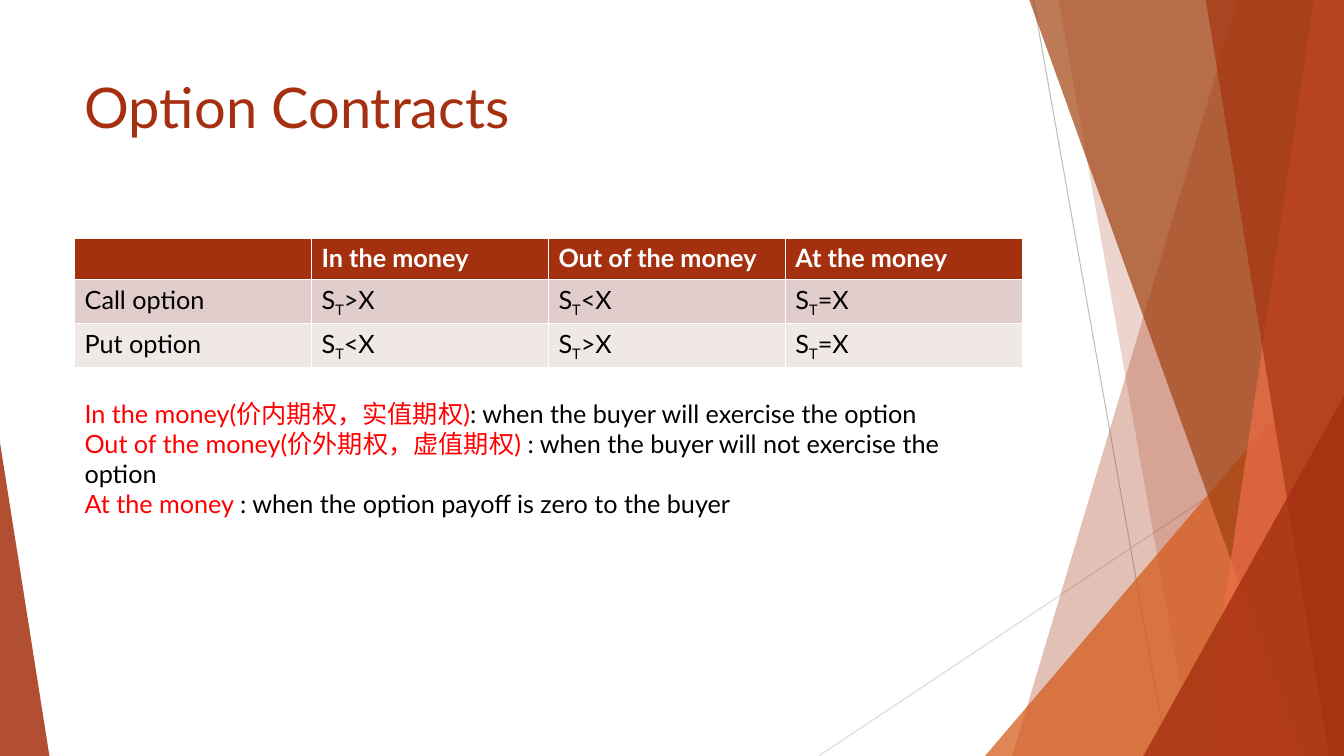
import dataclasses

import pptx
import pptx.dml.color
import pptx.enum.shapes
import pptx.enum.text
import pptx.oxml
import pptx.oxml.ns
import pptx.util


@dataclasses.dataclass(frozen=True)
class Theme:
    font: str = "Lato"
    head: int = 40
    body: int = 18
    rust: str = "A5300F"
    orange: str = "D55816"
    brown: str = "A04210"
    coral: str = "EE6E4A"
    gray: str = "BFBFBF"
    pale: str = "D9D9D9"
    red: str = "FF0000"
    black: str = "000000"
    white: str = "FFFFFF"
    bands: tuple = ("E1CDCC", "F0E8E7")


THEME = Theme()
WIDE = pptx.util.Inches(13.33)
HIGH = pptx.util.Inches(7.5)
LEFT, SPAN = 5.55, 70.52
ROW = 5.47
SHAPE = pptx.enum.shapes.MSO_SHAPE
ANCHOR = pptx.enum.text.MSO_ANCHOR
FIT = pptx.enum.text.MSO_AUTO_SIZE


def across(cols):
    return round(WIDE * cols / 100)


def down(rows):
    return round(HIGH * rows / 100)


def place(left, top, width, height):
    return across(left), down(top), across(width), down(height)


def color(code):
    return pptx.dml.color.RGBColor.from_string(code)


def write(frame, lines, size=THEME.body, tint=THEME.black, bold=False,
          fit=FIT.NONE):
    frame.word_wrap = True
    frame.vertical_anchor = ANCHOR.TOP
    frame.auto_size = fit
    for i, line in enumerate(lines):
        para = frame.paragraphs[0] if i == 0 else frame.add_paragraph()
        para.alignment = pptx.enum.text.PP_ALIGN.LEFT
        for text, extra in line:
            run = para.add_run()
            run.text = text
            run.font.name = THEME.font
            run.font.size = pptx.util.Pt(size)
            run.font.bold = bold
            run.font.color.rgb = color(extra.get("tint", tint))
            if "base" in extra:
                run._r.get_or_add_rPr().set("baseline", str(extra["base"] * 1000))


def paint(shape, tint, alpha):
    shape.shadow.inherit = False
    shape.line.fill.background()
    shape.fill.solid()
    shape.fill.fore_color.rgb = color(tint)
    node = shape._element.spPr.find(".//" + pptx.oxml.ns.qn("a:srgbClr"))
    mark = pptx.oxml.parse_xml(
        f'<a:alpha {pptx.oxml.ns.nsdecls("a")} val="{alpha * 1000}"/>')
    node.append(mark)


def rule(slide, start, end, tint):
    line = slide.shapes.add_connector(
        pptx.enum.shapes.MSO_CONNECTOR.STRAIGHT,
        across(start[0]), down(start[1]), across(end[0]), down(end[1]))
    line.line.color.rgb = color(tint)
    line.line.width = pptx.util.Pt(0.75)
    line._element.spPr.append(pptx.oxml.parse_xml(
        f'<a:effectLst {pptx.oxml.ns.nsdecls("a")}/>'))


def facet(slide, top, base, tint, alpha):
    path = slide.shapes.build_freeform(across(top), 0)
    path.add_line_segments([(WIDE, 0), (WIDE, HIGH), (across(base), HIGH)])
    paint(path.convert_to_shape(), tint, alpha)


def wedge(slide, left, right, top, peak, tint, alpha):
    shape = slide.shapes.add_shape(
        SHAPE.ISOSCELES_TRIANGLE, *place(left, top, right - left, 100 - top))
    shape.adjustments[0] = peak
    paint(shape, tint, alpha)


def backdrop(slide):
    rule(slide, (76.89, 0), (86.87, 100), THEME.gray)
    rule(slide, (100, 53.73), (60.92, 100), THEME.pale)
    facet(slide, 92.12, 75.32, THEME.rust, 30)
    facet(slide, 78.77, 88.75, THEME.rust, 20)
    wedge(slide, 73.29, 100, 44.4, 1, THEME.orange, 72)
    facet(slide, 76.59, 96.85, THEME.brown, 70)
    facet(slide, 97.75, 89.42, THEME.coral, 70)
    facet(slide, 89.72, 98.87, THEME.rust, 65)
    wedge(slide, 85.07, 100, 52.4, 1, THEME.rust, 80)
    wedge(slide, 0, 3.68, 58.53, 0, THEME.rust, 85)


def heading(slide, box, text):
    title = slide.shapes.title
    title.left, title.top, title.width, title.height = place(*box)
    write(title.text_frame, [[(text, {})]], size=THEME.head, tint=THEME.rust)


def payoff(sign):
    return [("S", {}), ("T", {"base": -25}), (sign + "X", {})]


def grid(slide, box, heads, rows):
    table = slide.shapes.add_table(
        len(rows) + 1, len(heads), *place(*box)).table
    body = [[[(name, {})], *map(payoff, signs)] for name, signs in rows]
    lines = [[[(head, {})] if head else [] for head in heads], *body]
    fills = [THEME.rust, *THEME.bands]
    for r, (line, fill) in enumerate(zip(lines, fills)):
        for c, parts in enumerate(line):
            cell = table.cell(r, c)
            cell.fill.solid()
            cell.fill.fore_color.rgb = color(fill)
            if parts:
                write(cell.text_frame, [parts], bold=r == 0,
                      tint=THEME.white if r == 0 else THEME.black)


def notes(slide, box, items):
    frame = slide.shapes.add_textbox(*place(*box)).text_frame
    lines = [[(term, {"tint": THEME.red}), (text, {})] for term, text in items]
    write(frame, lines, fit=FIT.SHAPE_TO_FIT_TEXT)


def main():
    deck = pptx.Presentation()
    deck.slide_width, deck.slide_height = WIDE, HIGH
    slide = deck.slides.add_slide(deck.slide_layouts.get_by_name("Title Only"))
    backdrop(slide)
    heading(slide, (LEFT, 8.93, SPAN, 19.2), "Option Contracts")
    grid(slide, (LEFT, 31.47, SPAN, ROW * 3),
         ["", "In the money", "Out of the money", "At the money"],
         [("Call option", "><="), ("Put option", "<>=")])
    notes(slide, (LEFT, 52, SPAN, 17.47), [
        ("In the money(价内期权，实值期权)",
         ": when the buyer will exercise the option"),
        ("Out of the money(价外期权，虚值期权) ",
         ": when the buyer will not exercise the option"),
        ("At the money ", ": when the option payoff is zero to the buyer"),
    ])
    deck.save("out.pptx")


if __name__ == "__main__":
    main()
